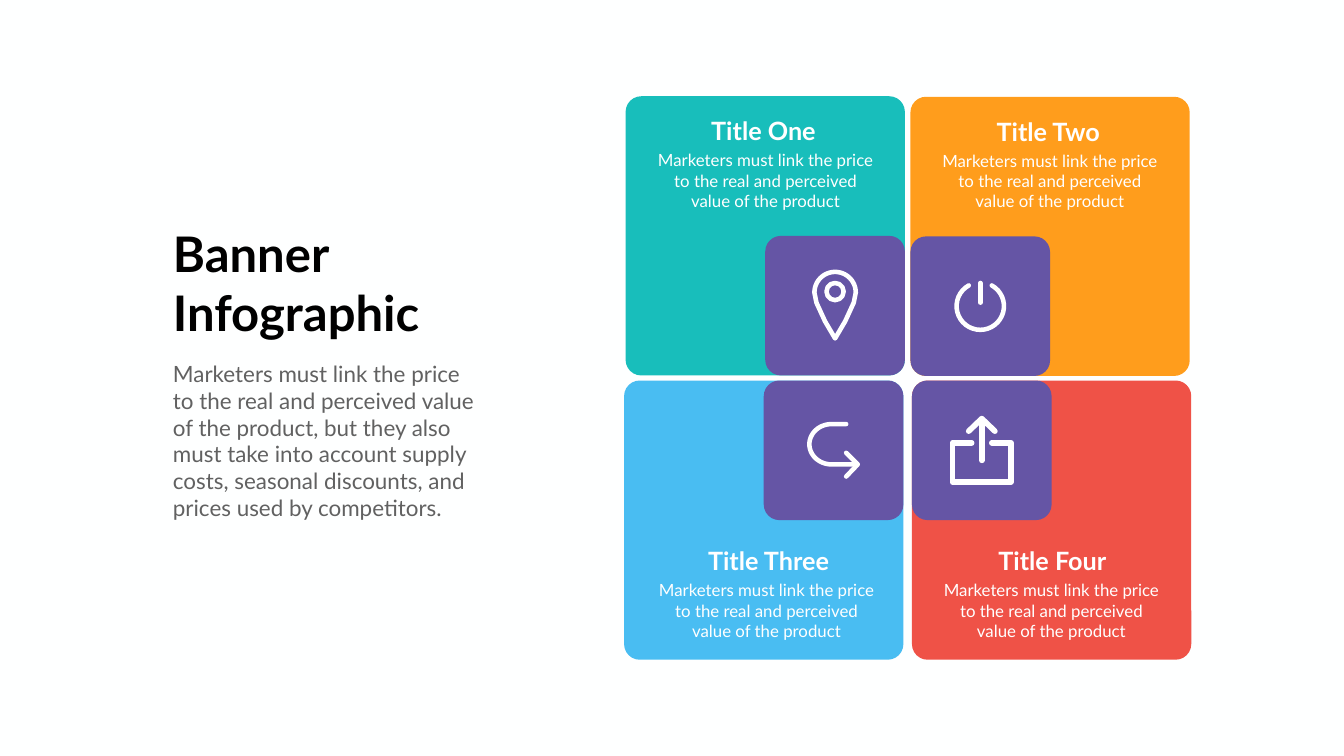
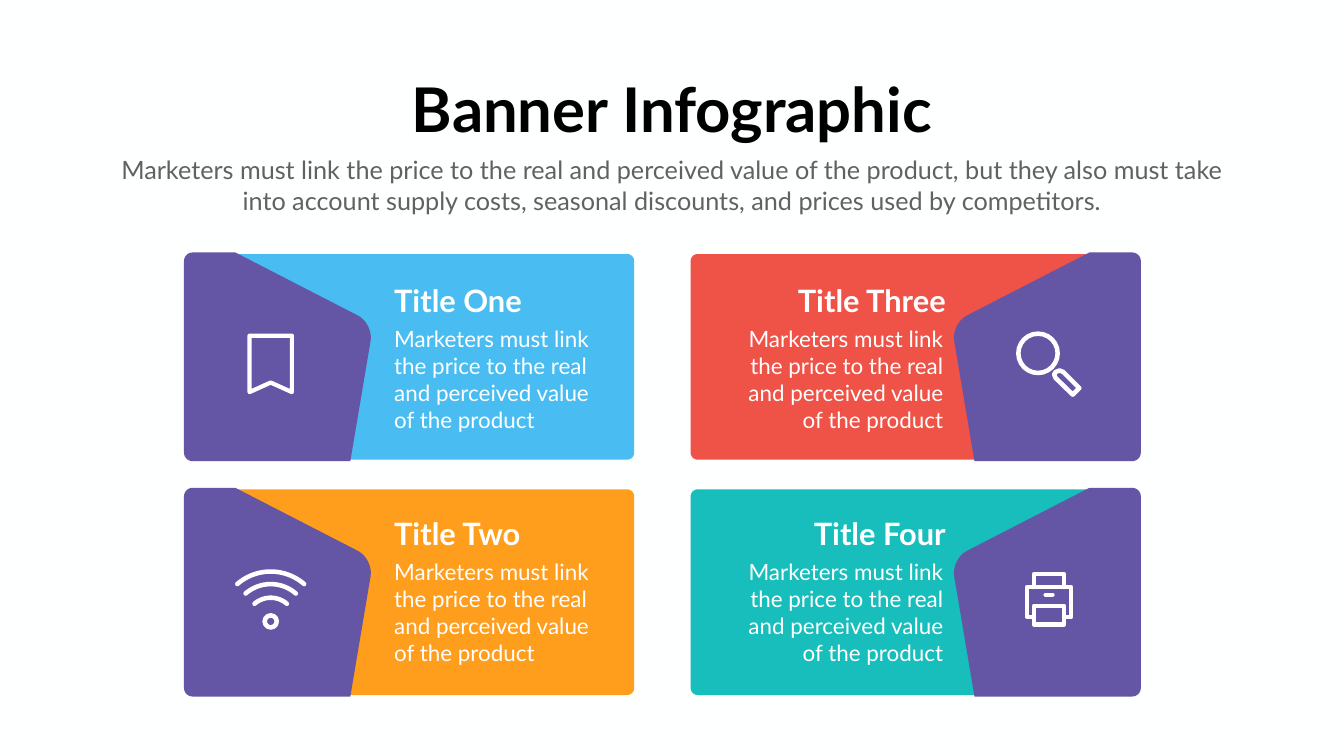
import math
from dataclasses import dataclass

import lxml.etree
import pptx
import pptx.dml.color
import pptx.enum.shapes
import pptx.enum.text
import pptx.oxml.ns
import pptx.util

RGBColor = pptx.dml.color.RGBColor
Inches = pptx.util.Inches
qn = pptx.oxml.ns.qn
SHAPE = pptx.enum.shapes.MSO_SHAPE
ALIGN = pptx.enum.text.PP_ALIGN

PAPER = RGBColor(0xFE, 0xFF, 0xFF)
WHITE = RGBColor(0xFF, 0xFF, 0xFF)
BLACK = RGBColor(0x00, 0x00, 0x00)
GRAY = RGBColor(0x61, 0x61, 0x61)
PURPLE = RGBColor(0x65, 0x55, 0xA5)
TEAL = RGBColor(0x18, 0xBE, 0xBB)
ORANGE = RGBColor(0xFF, 0x9D, 0x1C)
BLUE = RGBColor(0x49, 0xBD, 0xF2)
RED = RGBColor(0xEF, 0x52, 0x47)
FONT = "Lato"

SUMMARY = "Marketers must link the price to the real and perceived value of the product"
INTRO = (SUMMARY + ", but they also must take into account supply costs, "
         "seasonal discounts, and prices used by competitors.")


def arc(cx, cy, rx, ry, start, end, steps=32):
    """Return points along an elliptical arc, with angles in degrees, clockwise from the right."""
    angles = [math.radians(start + (end - start) * i / steps) for i in range(steps + 1)]
    return [(cx + rx * math.cos(a), cy + ry * math.sin(a)) for a in angles]


def round_corners(corners, steps=10):
    """Return an outline for (x, y, cut) corners, each cut rounded by a cubic curve."""
    outline = []
    for i, (x, y, cut) in enumerate(corners):
        if not cut:
            outline.append((x, y))
            continue
        ends = []
        for nx, ny, _ in (corners[i - 1], corners[(i + 1) % len(corners)]):
            reach = cut / math.hypot(nx - x, ny - y)
            ends.append((x + (nx - x) * reach, y + (ny - y) * reach))
        for step in range(steps + 1):
            t = step / steps
            enter = (1 - t) ** 3 + 1.35 * t * (1 - t) ** 2
            leave = t ** 3 + 1.35 * t ** 2 * (1 - t)
            corner = 1 - enter - leave
            outline.append((enter * ends[0][0] + corner * x + leave * ends[1][0],
                            enter * ends[0][1] + corner * y + leave * ends[1][1]))
    return outline


@dataclass
class Icon:
    """Strokes of an icon around its centre, in inches, with the line width in points."""
    weight: float
    strokes: tuple = ()
    outlines: tuple = ()
    rings: tuple = ()


PIN = Icon(
    6.5,
    outlines=([(0, 0.65), (-0.2, 0.31), (-0.37, -0.06)] + arc(0, -0.26, 0.41, 0.41, 180, 360)
              + [(0.37, -0.06), (0.2, 0.31)],),
    rings=((0, -0.28, 0.17),))
POWER = Icon(6.5, strokes=(arc(0, 0, 0.47, 0.47, -61, 241), [(0, -0.46), (0, -0.07)]))
RETURN = Icon(
    6.5,
    strokes=([(0.25, -0.52)] + arc(-0.04, -0.12, 0.44, 0.4, 270, 90) + [(0.47, 0.28)],
             [(0.25, 0.05), (0.48, 0.28), (0.25, 0.52)]))
SHARE = Icon(
    8,
    strokes=([(-0.2, -0.15), (-0.58, -0.15), (-0.58, 0.63), (0.58, 0.63), (0.58, -0.15), (0.2, -0.15)],
             [(-0.26, -0.38), (0, -0.63), (0.26, -0.38)],
             [(0, -0.62), (0, 0.2)]))
BOOKMARK = Icon(6, outlines=([(-0.42, -0.56), (0.42, -0.56), (0.42, 0.56), (0, 0.37), (-0.42, 0.56)],))
WIFI = Icon(
    6.5,
    strokes=tuple(arc(0, 0.46, r, r, 229, 311) for r in (1.01, 0.76, 0.49)),
    rings=((0, 0.44, 0.12),))
MAGNIFIER = Icon(
    6.5,
    outlines=([(0.21, 0.13), (0.28, 0.16), (0.6, 0.48), (0.47, 0.61), (0.13, 0.28), (0.1, 0.21), (0.13, 0.16)],),
    rings=((-0.22, -0.21, 0.39),))
PRINTER = Icon(
    6,
    strokes=([(-0.3, 0.35), (-0.44, 0.35), (-0.44, -0.24), (0.44, -0.24), (0.44, 0.35), (0.3, 0.35)],
             [(-0.3, -0.24), (-0.3, -0.5), (0.3, -0.5), (0.3, -0.24)],
             [(-0.07, -0.09), (0.07, -0.09)]),
    outlines=([(-0.3, 0.13), (0.3, 0.13), (0.3, 0.5), (-0.3, 0.5)],))


def paint(shape, color):
    """Give a shape a flat fill with neither line nor shadow."""
    shape.shadow.inherit = False
    shape.fill.solid()
    shape.fill.fore_color.rgb = color
    shape.line.fill.background()


def ink(shape, weight):
    """Give a shape or connector a white line with round ends and joins."""
    shape.line.color.rgb = WHITE
    shape.line.width = pptx.util.Pt(weight)
    properties = shape._element.spPr
    line = properties.find(qn("a:ln"))
    line.set("cap", "rnd")
    lxml.etree.SubElement(line, qn("a:round"))
    if properties.find(qn("a:effectLst")) is None:
        lxml.etree.SubElement(properties, qn("a:effectLst"))


def draw_outline(slide, points, closed=True):
    """Draw a freeform through points given in inches."""
    corners = [(Inches(x), Inches(y)) for x, y in points]
    builder = slide.shapes.build_freeform(*corners[0])
    builder.add_line_segments(corners[1:], close=closed)
    return builder.convert_to_shape()


def draw_icon(slide, icon, cx, cy):
    """Draw an icon around a centre."""
    hollow = []
    for points, closed in [(p, True) for p in icon.outlines] + [(p, False) for p in icon.strokes]:
        placed = [(cx + x, cy + y) for x, y in points]
        if len(placed) == 2:
            ends = [Inches(value) for point in placed for value in point]
            ink(slide.shapes.add_connector(pptx.enum.shapes.MSO_CONNECTOR.STRAIGHT, *ends), icon.weight)
        else:
            hollow.append(draw_outline(slide, placed, closed))
    for x, y, r in icon.rings:
        hollow.append(slide.shapes.add_shape(
            SHAPE.OVAL, Inches(cx + x - r), Inches(cy + y - r), Inches(2 * r), Inches(2 * r)))
    for shape in hollow:
        shape.fill.background()
        ink(shape, icon.weight)


def place(shape, left, top, width, height):
    """Move and size a shape, in inches."""
    shape.left, shape.top = Inches(left), Inches(top)
    shape.width, shape.height = Inches(width), Inches(height)


def write(frame, text, size, color, align, bold=False, wrap=True):
    """Set and format the text of a frame, without bullets or extra spacing."""
    frame.text = text
    frame.word_wrap = wrap
    frame.auto_size = pptx.enum.text.MSO_AUTO_SIZE.NONE
    frame.vertical_anchor = pptx.enum.text.MSO_ANCHOR.TOP
    for paragraph in frame.paragraphs:
        paragraph.alignment = align
        paragraph.space_before = pptx.util.Pt(0)
        properties = paragraph._p.get_or_add_pPr()
        properties.set("marL", "0")
        properties.set("indent", "0")
        lxml.etree.SubElement(properties, qn("a:buNone"))
        for run in paragraph.runs:
            run.font.name = FONT
            run.font.size = pptx.util.Pt(size)
            run.font.bold = bold
            run.font.color.rgb = color


def add_text(slide, box, text, size, align, bold=False):
    """Add white text in a box."""
    label = slide.shapes.add_textbox(*[Inches(value) for value in box])
    write(label.text_frame, text, size, WHITE, align, bold)


def add_heading_slide(deck, title, title_box, title_size, intro_box, intro_size, align):
    """Add a slide with its headline and introduction."""
    slide = deck.slides.add_slide(deck.slide_layouts[1])
    headline, intro = slide.placeholders
    place(headline, *title_box)
    place(intro, *intro_box)
    write(headline.text_frame, title, title_size, BLACK, align, bold=True, wrap=False)
    write(intro.text_frame, INTRO, intro_size, GRAY, align)
    return slide


def add_square(slide, left, top, side, radius, color):
    """Add a rounded square."""
    square = slide.shapes.add_shape(
        SHAPE.ROUNDED_RECTANGLE, Inches(left), Inches(top), Inches(side), Inches(side))
    square.adjustments[0] = radius / side
    paint(square, color)


def add_quadrant(slide, left, top, column, row, color, icon, title, title_width, summary_left):
    """Add a square card whose icon tile sits in the corner next to the centre of the grid."""
    side, tile, radius = 5.54, 2.77, 0.31
    tile_left = left + (1 - column) * tile
    tile_top = top + (1 - row) * tile
    add_square(slide, left, top, side, radius, color)
    add_square(slide, tile_left, tile_top, tile, radius, PURPLE)
    draw_icon(slide, icon, tile_left + tile / 2, tile_top + tile / 2)
    title_left, title_top = ((1.45, 0.33), (1.42, 3.22))[row]
    add_text(slide, (left + title_left, top + title_top, title_width, 0.71), title, 36, ALIGN.CENTER, True)
    add_text(slide, (left + summary_left, top + title_top + 0.69, 4.53, 1.31), SUMMARY, 24, ALIGN.CENTER)


def add_banner(slide, left, top, mirrored, color, icon, title, title_width, title_top):
    """Add a wide card with a pointed icon tab on its left, or on its right when mirrored."""
    width, height = 8.93, 4.14

    def across(x, span=0):
        return left + (width - x - span if mirrored else x)

    panel = [(1.01, 0.03, 0), (3.72, 1.42, 0.34), (3.27, 4.11, 0), (width, 4.11, 0.14), (width, 0.03, 0.14)]
    tab = [(0, 0, 0.17), (1.02, 0, 0), (3.76, 1.41, 0.35), (3.3, height, 0), (0, height, 0.17)]
    for corners, fill in ((panel, color), (tab, PURPLE)):
        outline = [(across(x), top + y) for x, y in round_corners(corners)]
        paint(draw_outline(slide, outline), fill)
    draw_icon(slide, icon, across(1.82 if mirrored else 1.72), top + 2.21)
    align = ALIGN.RIGHT if mirrored else ALIGN.LEFT
    title_inset, summary_inset = (3.77, 3.82) if mirrored else (4.07, 4.07)
    add_text(slide, (across(title_inset, title_width), top + title_top, title_width, 0.84),
             title, 44, align, True)
    add_text(slide, (across(summary_inset, 4.53), top + title_top + 0.87, 4.53, 2.26), SUMMARY, 32, align)


def add_quadrant_slide(deck):
    """Add the slide with four square cards around a centre."""
    slide = add_heading_slide(deck, "Banner\nInfographic", (3.33, 4.39, 5.22, 2.46), 70,
                              (3.33, 7.09, 6.28, 3.33), 32, ALIGN.LEFT)
    add_quadrant(slide, 12.41, 1.91, 0, 0, TEAL, PIN, "Title One", 2.57, 0.51)
    add_quadrant(slide, 18.06, 1.92, 1, 0, ORANGE, POWER, "Title Two", 2.57, 0.5)
    add_quadrant(slide, 12.38, 7.55, 0, 1, BLUE, RETURN, "Title Three", 2.89, 0.56)
    add_quadrant(slide, 18.09, 7.55, 1, 1, RED, SHARE, "Title Four", 2.73, 0.5)


def add_banner_slide(deck):
    """Add the slide with two columns of wide cards."""
    slide = add_heading_slide(deck, "Banner Infographic", (7.94, 1.36, 10.78, 1.58), 88,
                              (2.22, 3.02, 22.21, 1.31), 36, ALIGN.CENTER)
    upper, lower = 5.01, 9.68
    add_banner(slide, 3.65, upper, False, BLUE, BOOKMARK, "Title One", 2.76, 0.53)
    add_banner(slide, 3.65, lower, False, ORANGE, WIFI, "Title Two", 2.97, 0.48)
    add_banner(slide, 13.7, upper, True, RED, MAGNIFIER, "Title Three", 3.18, 0.53)
    add_banner(slide, 13.7, lower, True, TEAL, PRINTER, "Title Four", 3.18, 0.48)


def main():
    """Build and save the presentation."""
    deck = pptx.Presentation()
    deck.slide_width, deck.slide_height = Inches(26.66), Inches(15)
    backdrop = deck.slide_master.background.fill
    backdrop.solid()
    backdrop.fore_color.rgb = PAPER
    add_quadrant_slide(deck)
    add_banner_slide(deck)
    deck.save("out.pptx")


if __name__ == "__main__":
    main()
